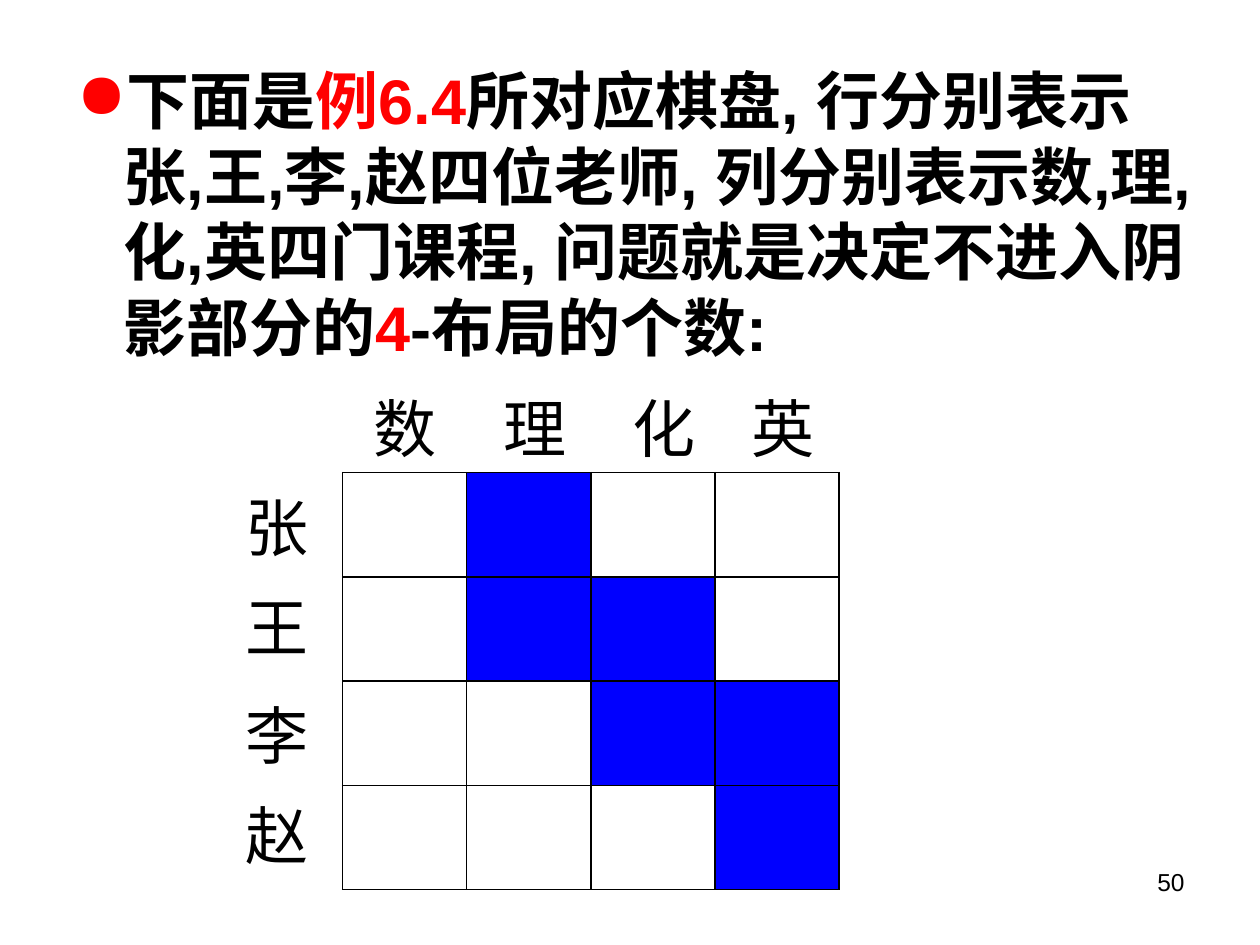
from lxml.etree import SubElement
from pptx import Presentation
from pptx.dml.color import RGBColor
from pptx.enum.text import MSO_AUTO_SIZE, PP_ALIGN
from pptx.oxml.ns import qn
from pptx.util import Pt

BLACK, RED, BLUE = "000000", "FF0000", "0000FF"
COLUMN_WIDTH, ROW_HEIGHT = 70.9, 59.6
TEACHERS = {"张": 275.8, "王": 332.6, "李": 394.6, "赵": 451.4}
COURSES = {"数": 206.6, "理": 280.8, "化": 354.2, "英": 422.6}
FORBIDDEN = {(0, 1), (1, 1), (1, 2), (2, 2), (2, 3), (3, 3)}
STATEMENT = [
    ("下面是", BLACK),
    ("例6.4", RED),
    ("所对应棋盘, 行分别表示张,王,李,赵四位老师, 列分别表示数,理,化,英四门课程, "
     "问题就是决定不进入阴影部分的", BLACK),
    ("4", RED),
    ("-布局的个数:", BLACK),
]


def color(value):
    return RGBColor.from_string(value)


class SlideBuilder:
    """Draws styled elements on one slide, with lengths in points."""

    def __init__(self, slide, font="Arial", size=36):
        self.slide = slide
        self.font = font
        self.size = size

    def text(self, left, top, width, height, runs, size=None, bold=False, wrap=True):
        shape = self.slide.shapes.add_textbox(Pt(left), Pt(top), Pt(width), Pt(height))
        shape.text_frame.word_wrap = wrap
        paragraph = shape.text_frame.paragraphs[0]
        paragraph.font.name = self.font
        paragraph.font.size = Pt(size or self.size)
        paragraph.font.bold = bold
        for content, shade in runs:
            run = paragraph.add_run()
            run.text = content
            run.font.color.rgb = color(shade)
        return shape

    def bullet_text(self, left, top, width, height, runs, indent, bullet_color):
        shape = self.text(left, top, width, height, runs, bold=True)
        properties = shape.text_frame.paragraphs[0]._p.get_or_add_pPr()
        properties.set("marL", str(Pt(indent)))
        properties.set("indent", str(Pt(-indent)))
        bullet = SubElement(properties, qn("a:buClr"))
        SubElement(bullet, qn("a:srgbClr"), val=bullet_color)
        SubElement(properties, qn("a:buChar"), char="●")
        properties.append(properties.find(qn("a:defRPr")))

    def label(self, left, top, content):
        shape = self.text(left, top, 50.4, 50.4, [(content, BLACK)], wrap=False)
        shape.text_frame.auto_size = MSO_AUTO_SIZE.SHAPE_TO_FIT_TEXT

    def page_number(self, left, top, width, height, content):
        shape = self.text(left, top, width, height, [(content, BLACK)], size=14)
        shape.text_frame.paragraphs[0].alignment = PP_ALIGN.RIGHT

    def board(self, left, top, count, shaded):
        table = self.slide.shapes.add_table(
            count, count, Pt(left), Pt(top),
            Pt(count * COLUMN_WIDTH), Pt(count * ROW_HEIGHT)).table
        table.first_row = table.horz_banding = False
        for index in range(count):
            table.columns[index].width = Pt(COLUMN_WIDTH)
            table.rows[index].height = Pt(ROW_HEIGHT)
        for row in range(count):
            for column in range(count):
                cell = table.cell(row, column)
                self.border(cell)
                if (row, column) in shaded:
                    cell.fill.solid()
                    cell.fill.fore_color.rgb = color(BLUE)
                else:
                    cell.fill.background()

    def border(self, cell):
        properties = cell._tc.get_or_add_tcPr()
        for side in ("a:lnL", "a:lnR", "a:lnT", "a:lnB"):
            line = SubElement(properties, qn(side), w=str(Pt(1)))
            fill = SubElement(line, qn("a:solidFill"))
            SubElement(fill, qn("a:srgbClr"), val=BLACK)


def main():
    presentation = Presentation()
    presentation.slide_width, presentation.slide_height = Pt(720), Pt(540)
    builder = SlideBuilder(presentation.slides.add_slide(presentation.slide_layouts[6]))
    builder.page_number(516.2, 491.8, 167.8, 37.4, "50")
    builder.board(195.8, 270, len(TEACHERS), FORBIDDEN)
    builder.bullet_text(36.7, 31.7, 652.3, 181.4, STATEMENT, 27, RED)
    for teacher, top in TEACHERS.items():
        builder.label(133.2, top, teacher)
    for course, left in COURSES.items():
        builder.label(left, 218.9, course)
    presentation.save("out.pptx")


if __name__ == "__main__":
    main()
